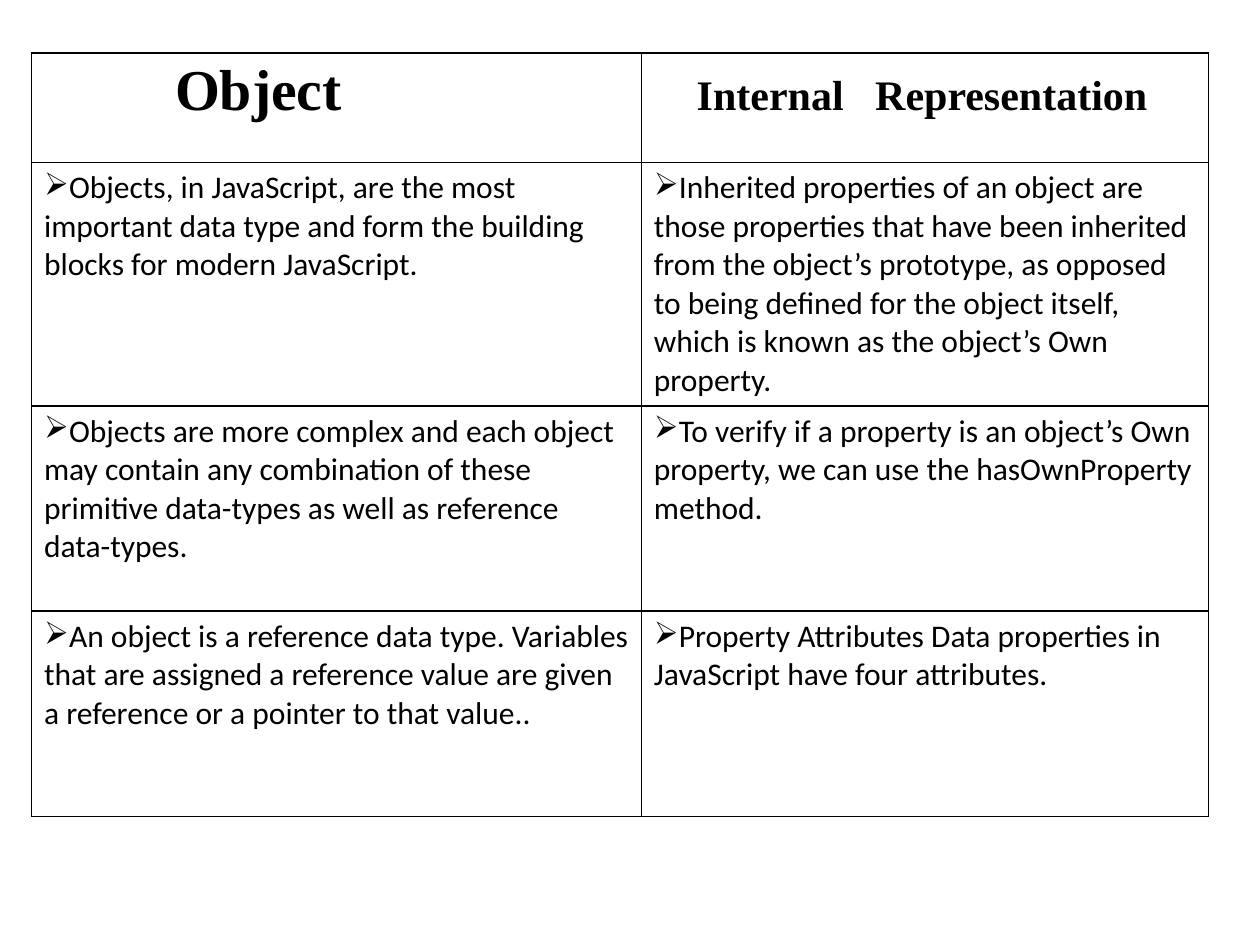
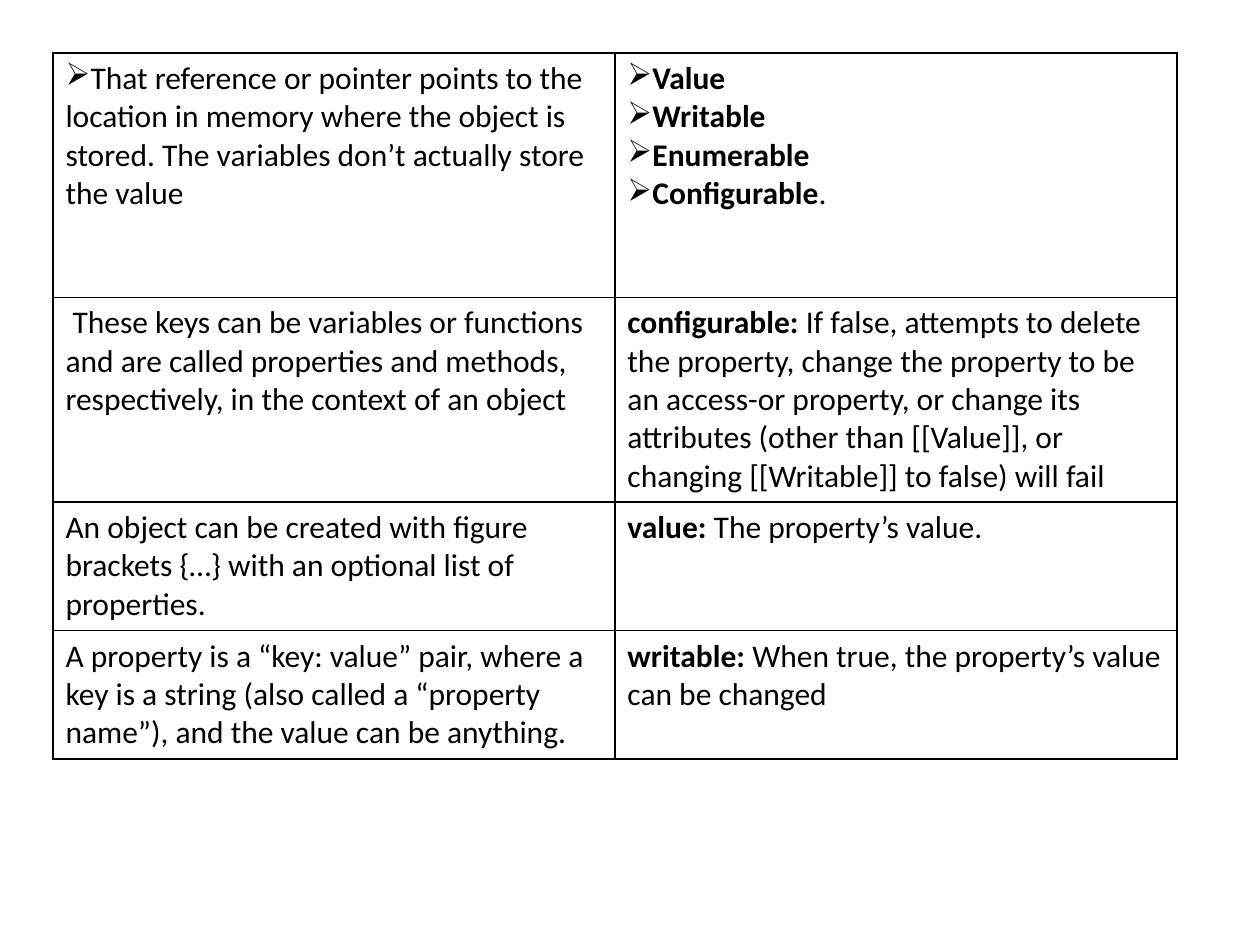
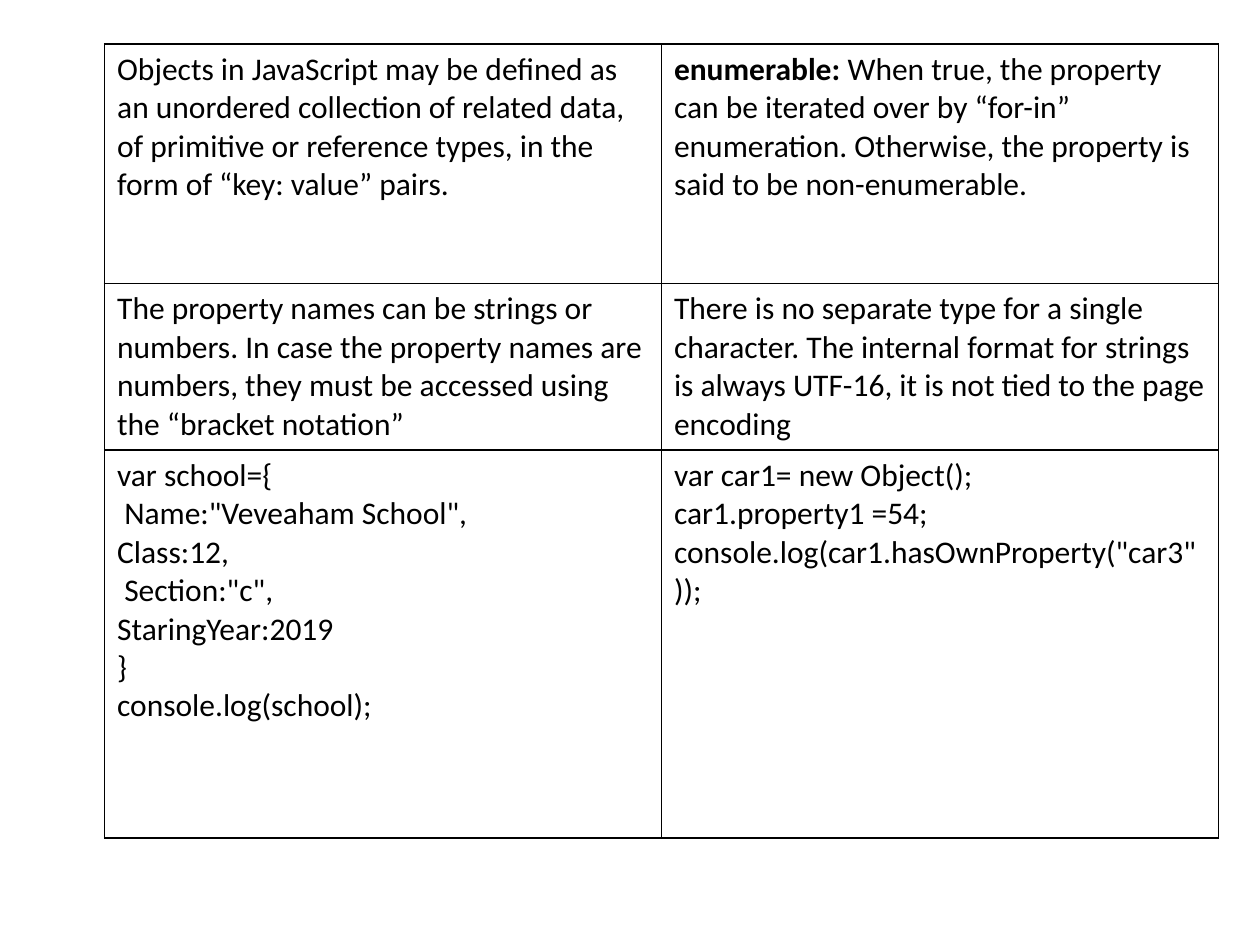
from typing import NamedTuple

from lxml.etree import SubElement
from pptx import Presentation
from pptx.dml.color import RGBColor
from pptx.oxml import parse_xml
from pptx.oxml.ns import nsdecls, qn
from pptx.util import Inches, Pt

BLACK = "000000"
BODY_FONT = "Calibri"
HEAD_FONT = "Times New Roman"
BODY_SIZE = 18
BORDER_WIDTH = 1
BULLET = "➢"


class Para(NamedTuple):
    """A body paragraph: an optional bold lead, then plain text."""
    text: str = ""
    lead: str = ""
    bullet: bool = False


class Heading(NamedTuple):
    """A bold column heading with its size and inset in the cell."""
    words: tuple[str, ...]
    size: int
    left: float
    top: float
    gap: int = 0


Cell = Heading | list[Para]


class Grid(NamedTuple):
    """A bordered table."""
    left: float
    top: float
    cols: list[float]
    rows: list[float]
    cells: list[list[Cell]]


def rgb(color: str) -> RGBColor:
    """Turn a hex string into a colour."""
    return RGBColor.from_string(color)


def set_font(font, name: str, size: int, bold: bool | None = None) -> None:
    """Apply the shared text look."""
    font.name, font.size, font.bold = name, Pt(size), bold
    font.color.rgb = rgb(BLACK)


def set_borders(cell, color: str) -> None:
    """Draw a solid line on all four sides of a cell."""
    tc_pr = cell._tc.get_or_add_tcPr()
    for i, side in enumerate(("lnL", "lnR", "lnT", "lnB")):
        tc_pr.insert(i, parse_xml(
            f'<a:{side} {nsdecls("a")} w="{Pt(BORDER_WIDTH)}">'
            f'<a:solidFill><a:srgbClr val="{color}"/></a:solidFill></a:{side}>'))


def add_bullet(p) -> None:
    """Give a paragraph a bullet that sits flush with its text."""
    p_pr = p._p.get_or_add_pPr()
    p_pr.set("marL", "0")
    p_pr.set("indent", "0")
    bullet = SubElement(p_pr, qn("a:buChar"))
    bullet.set("char", BULLET)
    p_pr.insert(0, bullet)


def write_heading(cell, heading: Heading) -> None:
    """Write a heading, widening the spaces between its words."""
    cell.margin_left, cell.margin_top = Inches(heading.left), Inches(heading.top)
    p = cell.text_frame.paragraphs[0]
    set_font(p.font, HEAD_FONT, heading.size, True)
    for i, word in enumerate(heading.words):
        if i:
            space = p.add_run()
            space.text = " "
            space._r.get_or_add_rPr().set("spc", str(heading.gap * 100))
        p.add_run().text = word


def write_paras(cell, paras: list[Para]) -> None:
    """Write body paragraphs into a cell."""
    tf = cell.text_frame
    for i, para in enumerate(paras):
        p = tf.add_paragraph() if i else tf.paragraphs[0]
        if para.bullet:
            add_bullet(p)
        set_font(p.font, BODY_FONT, BODY_SIZE)
        if para.lead:
            r = p.add_run()
            r.text, r.font.bold = para.lead, True
        if para.text:
            p.add_run().text = para.text


def add_grid(slide, grid: Grid) -> None:
    """Add a table with plain cells and black borders."""
    table = slide.shapes.add_table(
        len(grid.rows), len(grid.cols), Inches(grid.left), Inches(grid.top),
        Inches(sum(grid.cols)), Inches(sum(grid.rows))).table
    table.first_row = table.horz_banding = False
    for col, width in zip(table.columns, grid.cols):
        col.width = Inches(width)
    for row, height, contents in zip(table.rows, grid.rows, grid.cells):
        row.height = Inches(height)
        for cell, content in zip(row.cells, contents):
            cell.fill.background()
            set_borders(cell, BLACK)
            if isinstance(content, Heading):
                write_heading(cell, content)
            else:
                write_paras(cell, content)


def bullets(*texts: str) -> list[Para]:
    """Make bulleted paragraphs."""
    return [Para(text, bullet=True) for text in texts]


def lines(*texts: str) -> list[Para]:
    """Make plain paragraphs."""
    return [Para(text) for text in texts]


def term(lead: str, text: str) -> list[Para]:
    """Make a definition with a bold term."""
    return [Para(text, lead)]


OBJECT_BASICS = Grid(0.25, 0.42, [4.84, 4.5], [0.87, 1.93, 1.63, 1.63], [
    [Heading(("Object",), 33, 1.14, 0.05),
     Heading(("Internal", "Representation"), 24, 0.44, 0.16, gap=12)],
    [bullets("Objects, in JavaScript, are the most important data type and form the "
             "building blocks for modern JavaScript."),
     bullets("Inherited properties of an object are those properties that have been "
             "inherited from the object’s prototype, as opposed to being defined for the "
             "object itself, which is known as the object’s Own property.")],
    [bullets("Objects are more complex and each object may contain any combination of "
             "these primitive data-types as well as reference data-types."),
     bullets("To verify if a property is an object’s Own property, we can use "
             "the hasOwnProperty method.")],
    [bullets("An object is a reference data type. Variables that are assigned a reference "
             "value are given a reference or a pointer to that value.."),
     bullets("Property Attributes Data properties in JavaScript have four attributes.")],
])

ATTRIBUTES = Grid(0.42, 0.42, [4.46] * 2, [1.94, 1.62, 1.02, 1.02], [
    [bullets("That reference or pointer points to the location in memory where the object "
             "is stored. The variables don’t actually store the value"),
     [Para(lead=name, bullet=True) for name in ("Value", "Writable", "Enumerable")]
     + [Para(".", "Configurable", True)]],
    [lines(" These keys can be variables or functions and are called properties and "
           "methods, respectively, in the context of an object"),
     term("configurable: ", "If false, attempts to delete the property, change the "
          "property to be an access-or property, or change its attributes (other than "
          "[[Value]], or changing [[Writable]] to false) will fail")],
    [lines("An object can be created with figure brackets {…} with an optional list of "
           "properties."),
     term("value:", " The property’s value.")],
    [lines("A property is a “key: value” pair, where a key is a string (also called a "
           "“property name”), and the value can be anything."),
     term("writable:", " When true, the property’s value can be changed")],
])

EXAMPLES = Grid(0.83, 2.25, [4.42] * 2, [1.32, 3.08], [
    [lines("The property names can be strings or numbers. In case the property names are "
           "numbers, they must be accessed using the “bracket notation”"),
     lines("There is no separate type for a single character. The internal format for "
           "strings is always UTF-16, it is not tied to the page encoding")],
    [lines("var school={", ' Name:"Veveaham School",', "Class:12,", ' Section:"c",',
           "StaringYear:2019", "}", "console.log(school);"),
     lines("var car1= new Object();", "car1.property1 =54;",
           'console.log(car1.hasOwnProperty("car3"));')],
])

DEFINITION = Grid(0.83, 0.35, [4.42] * 2, [1.9], [
    [lines("Objects in JavaScript may be defined as an unordered collection of related "
           "data, of primitive or reference types, in the form of “key: value” pairs."),
     term("enumerable:", " When true, the property can be iterated over by “for-in” "
          "enumeration. Otherwise, the property is said to be non-enumerable.")],
])

SLIDES = [[OBJECT_BASICS], [ATTRIBUTES], [EXAMPLES, DEFINITION]]


def main() -> None:
    """Build the deck."""
    prs = Presentation()
    prs.slide_width, prs.slide_height = Inches(10), Inches(7.5)
    blank = prs.slide_layouts[6]
    for grids in SLIDES:
        slide = prs.slides.add_slide(blank)
        for grid in grids:
            add_grid(slide, grid)
    prs.save("out.pptx")


if __name__ == "__main__":
    main()
